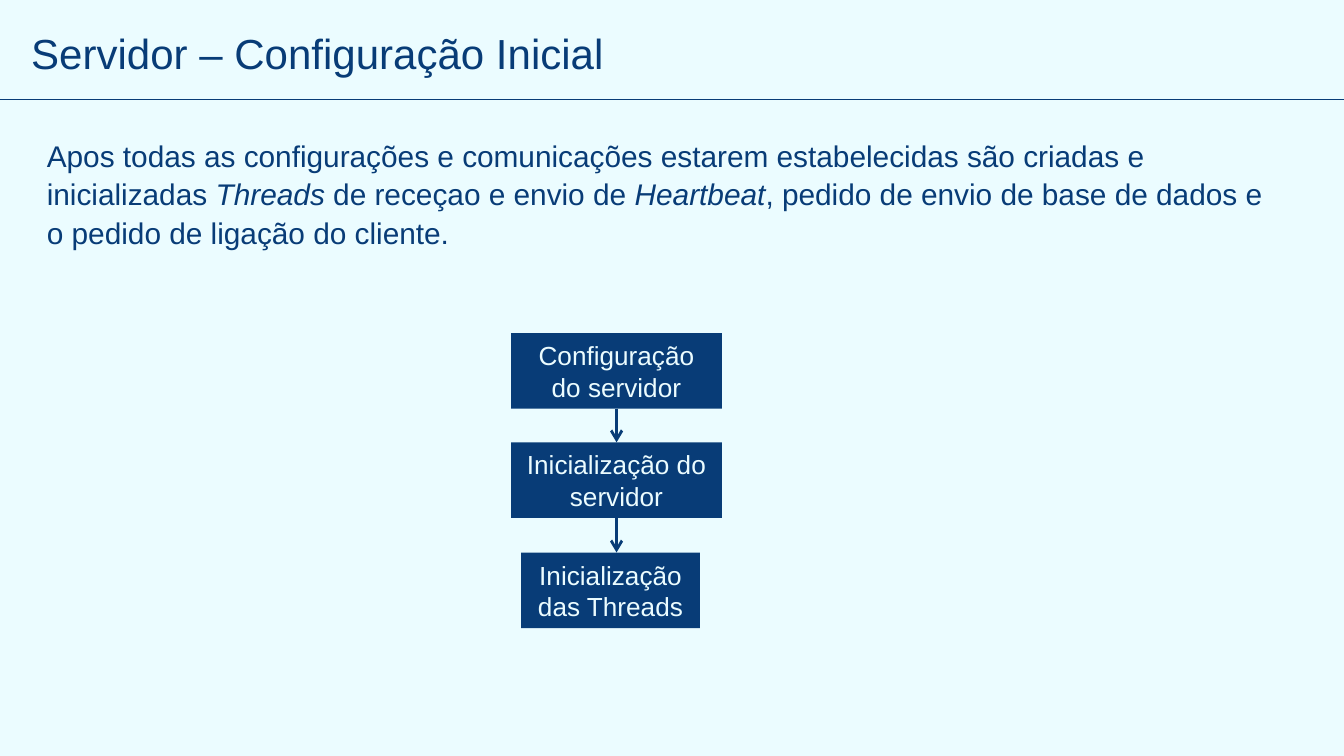
from dataclasses import dataclass

from lxml.etree import SubElement
from pptx import Presentation
from pptx.dml.color import RGBColor
from pptx.enum.shapes import MSO_CONNECTOR as Connector, MSO_SHAPE as Shape
from pptx.enum.text import MSO_ANCHOR as Anchor, MSO_AUTO_SIZE as AutoSize, PP_ALIGN as Align
from pptx.oxml.ns import qn
from pptx.util import Pt


@dataclass(frozen=True)
class Theme:
    navy: RGBColor = RGBColor(0x08, 0x3C, 0x77)
    ice: RGBColor = RGBColor(0xEB, 0xFC, 0xFF)
    font: str = "Arial"
    title_size: float = 22.5
    body_size: float = 16
    step_size: float = 14


class SlideBuilder:
    def __init__(self, deck, theme):
        self.theme = theme
        self.slide = deck.slides.add_slide(deck.slide_layouts[5])
        background = self.slide.background.fill
        background.solid()
        background.fore_color.rgb = theme.ice

    def add_words(self, paragraph, words, size, color, italic=False):
        run = paragraph.add_run()
        run.text = words
        font = run.font
        font.name, font.size, font.italic = self.theme.font, Pt(size), italic
        font.color.rgb = color

    def title(self, words, left, top, width, height):
        heading = self.slide.shapes.title
        heading.left, heading.top = Pt(left), Pt(top)
        heading.width, heading.height = Pt(width), Pt(height)
        frame = heading.text_frame
        frame.margin_left = frame.margin_right = Pt(7.2)
        frame.margin_top = frame.margin_bottom = Pt(7.2)
        frame.vertical_anchor = Anchor.BOTTOM
        frame.auto_size = AutoSize.NONE
        frame.paragraphs[0].alignment = Align.LEFT
        self.add_words(frame.paragraphs[0], words, self.theme.title_size, self.theme.navy)

    def body(self, pieces, left, top, width, height):
        box = self.slide.shapes.add_textbox(Pt(left), Pt(top), Pt(width), Pt(height))
        frame = box.text_frame
        frame.word_wrap = True
        frame.auto_size = AutoSize.SHAPE_TO_FIT_TEXT
        paragraph = frame.paragraphs[0]
        paragraph.line_spacing = 1.07
        paragraph.space_after = Pt(8)
        for words, italic in pieces:
            self.add_words(paragraph, words, self.theme.body_size, self.theme.navy, italic)

    def step(self, words, left, top, width, height):
        box = self.slide.shapes.add_shape(
            Shape.RECTANGLE, Pt(left), Pt(top), Pt(width), Pt(height))
        box.shadow.inherit = False
        box.fill.solid()
        box.fill.fore_color.rgb = self.theme.navy
        box.line.fill.background()
        frame = box.text_frame
        frame.word_wrap = True
        frame.vertical_anchor = Anchor.MIDDLE
        frame.paragraphs[0].alignment = Align.CENTER
        self.add_words(frame.paragraphs[0], words, self.theme.step_size, self.theme.ice)
        return box

    def line(self, x1, y1, x2, y2, weight, arrow=False):
        connector = self.slide.shapes.add_connector(
            Connector.STRAIGHT, Pt(x1), Pt(y1), Pt(x2), Pt(y2))
        connector.line.color.rgb = self.theme.navy
        connector.line.width = Pt(weight)
        properties = connector._element.spPr
        if arrow:
            SubElement(properties.find(qn("a:ln")), qn("a:tailEnd"), type="arrow")
        SubElement(properties, qn("a:effectLst"))
        return connector


def main():
    deck = Presentation()
    deck.slide_width, deck.slide_height = Pt(720), Pt(405)
    page = SlideBuilder(deck, Theme())

    # Heading and rule
    page.title("Servidor – Configuração Inicial", 9.5, 13.5, 684, 35.5)
    page.line(0, 53.3, 732, 53.3, 0.75)

    # Explanation
    page.body([
        ("Apos todas as configurações e comunicações estarem estabelecidas "
         "são criadas e inicializadas ", False),
        ("Threads", True),
        (" de receçao e envio de ", False),
        ("Heartbeat", True),
        (", pedido de envio de base de dados e o pedido de ligação do cliente.", False),
    ], 18, 69, 675.4, 67.7)

    # Start-up steps
    axis, step_height = 330.3, 40.5
    wide = 113
    setup, server_start, threads_start = [
        page.step(words, left, top, width, step_height)
        for words, left, top, width in (
            ("Configuração do servidor", axis - wide / 2, 178.5, wide),
            ("Inicialização do servidor", axis - wide / 2, 237, wide),
            ("Inicialização das Threads", 279.2, 296, 95.8),
        )
    ]

    # Arrows; the last step sits off the axis, so its arrow end is free
    to_server = page.line(axis, 219, axis, 237, 1.5, arrow=True)
    to_server.begin_connect(setup, 2)
    to_server.end_connect(server_start, 0)
    to_threads = page.line(axis, 277.5, axis, threads_start.top.pt, 1.5, arrow=True)
    to_threads.begin_connect(server_start, 2)

    deck.save("out.pptx")


if __name__ == "__main__":
    main()
